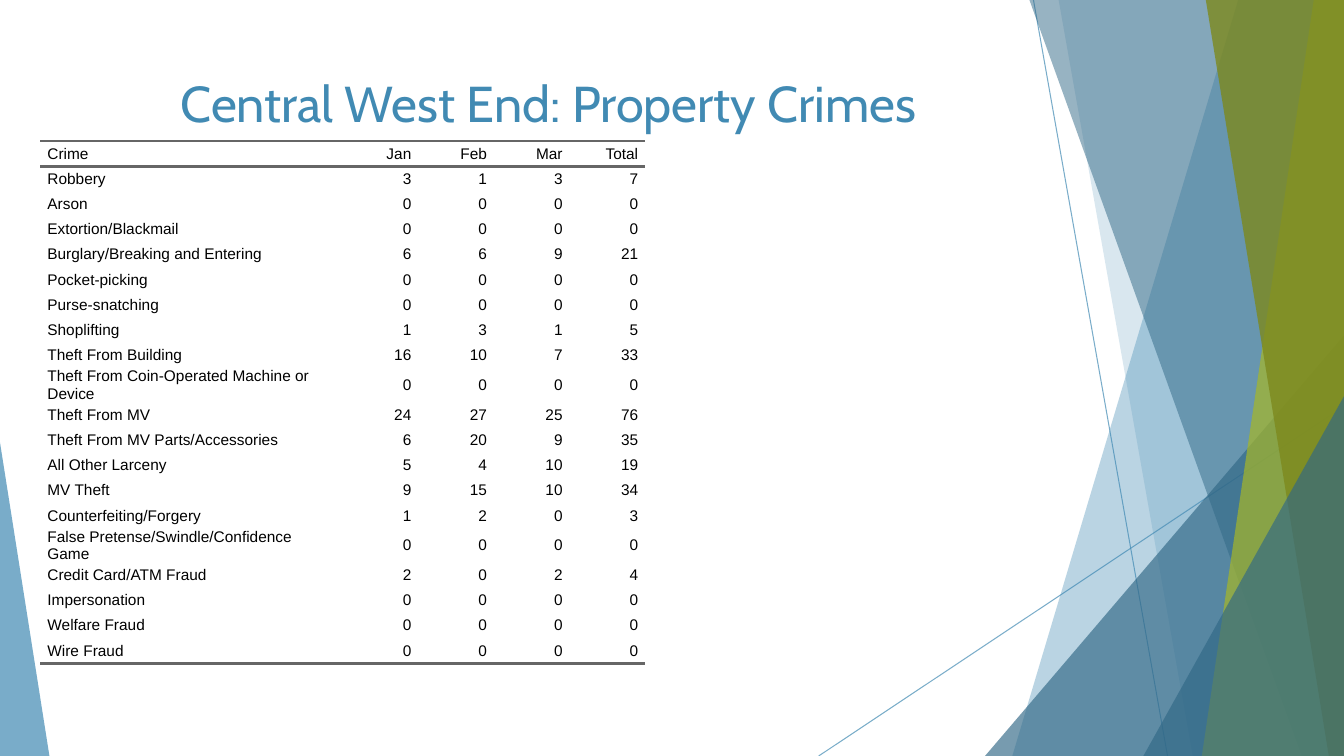
from dataclasses import dataclass

from lxml.etree import SubElement
from pptx import Presentation
from pptx.dml.color import RGBColor as Rgb
from pptx.enum.shapes import MSO_CONNECTOR as Connector, MSO_SHAPE as Shape
from pptx.enum.text import MSO_ANCHOR as Anchor, PP_ALIGN as Align
from pptx.oxml.ns import qn
from pptx.util import Inches, Pt

# Grid of tenth-inch columns and rows
COLUMNS, ROWS = 133.3, 75
NO_TABLE_STYLE = "{2D5ABB26-0587-4C30-8999-92F81FD0307C}"


@dataclass(frozen=True)
class Theme:
    blue: str = "418AB3"
    deep_blue: str = "316886"
    lime: str = "A6B727"
    olive: str = "7D891D"
    rule: str = "666666"
    text: str = "000000"
    title_font: str = "Cabin"
    table_font: str = "Arial"
    title_size: int = 36
    table_size: int = 11
    paragraph_gap: int = 5
    hairline: float = 0.75
    rule_width: int = 2


def grid(units):
    return Inches(units / 10)


class SlideBuilder:
    def __init__(self, slide, theme):
        self.slide, self.theme = slide, theme
        self.shapes = slide.shapes

    def paint(self, fill, color, opacity):
        """Apply a solid colour with the given opacity in percent."""
        fill.solid()
        fill.fore_color.rgb = Rgb.from_string(color)
        for element in fill._xPr.iter(qn("a:srgbClr")):
            SubElement(element, qn("a:alpha"), val=str(opacity * 1000))

    def finish(self, shape, color, opacity):
        shape.shadow.inherit = False
        self.paint(shape.fill, color, opacity)
        shape.line.fill.background()

    def line(self, start, end, color, opacity):
        connector = self.shapes.add_connector(
            Connector.STRAIGHT, *(grid(value) for value in (*start, *end)))
        connector.line.width = Pt(self.theme.hairline)
        self.paint(connector.line.fill, color, opacity)
        SubElement(connector._element.spPr, qn("a:effectLst"))

    def facet(self, top, bottom, color, opacity):
        """Full-height panel from a slanted left edge to the slide's right edge."""
        builder = self.shapes.build_freeform(grid(top), 0)
        corners = [(COLUMNS, 0), (COLUMNS, ROWS), (bottom, ROWS)]
        builder.add_line_segments([(grid(x), grid(y)) for x, y in corners])
        self.finish(builder.convert_to_shape(), color, opacity)

    def corner(self, left, top, width, peak, color, opacity):
        """Triangle standing on the slide's bottom edge."""
        shape = self.shapes.add_shape(
            Shape.ISOSCELES_TRIANGLE, grid(left), grid(top), grid(width), grid(ROWS - top))
        shape.adjustments[0] = peak
        self.finish(shape, color, opacity)

    def set_text(self, text_frame, text, align, font, size, color):
        text_frame.text = text
        paragraph = text_frame.paragraphs[0]
        paragraph.alignment = align
        run_font = paragraph.runs[0].font
        run_font.name, run_font.size = font, Pt(size)
        run_font.color.rgb = Rgb.from_string(color)
        return paragraph

    def title(self, text, left, top, width, height):
        box = self.shapes.add_textbox(grid(left), grid(top), grid(width), grid(height))
        box.text_frame.word_wrap = True
        self.set_text(box.text_frame, text, Align.CENTER, self.theme.title_font,
                      self.theme.title_size, self.theme.blue)

    def cell(self, cell, text, align, edges):
        theme = self.theme
        cell.margin_left = cell.margin_right = cell.margin_top = cell.margin_bottom = 0
        cell.vertical_anchor = Anchor.MIDDLE
        paragraph = self.set_text(cell.text_frame, text, align, theme.table_font,
                                  theme.table_size, theme.text)
        paragraph.space_before = paragraph.space_after = Pt(theme.paragraph_gap)
        properties = paragraph._p.get_or_add_pPr()
        for side in ("marL", "marR"):
            properties.set(side, str(grid(0.7)))
        for edge in edges:
            border = SubElement(cell._tc.get_or_add_tcPr(), qn(f"a:{edge}"),
                                w=str(Pt(theme.rule_width)))
            SubElement(SubElement(border, qn("a:solidFill")), qn("a:srgbClr"), val=theme.rule)
        cell.fill.background()

    def table(self, rows, left, top, widths, row_height):
        table = self.shapes.add_table(
            len(rows), len(widths), grid(left), grid(top),
            grid(sum(widths)), grid(row_height * len(rows))).table
        table.first_row = table.horz_banding = False
        table._tbl.tblPr.find(qn("a:tableStyleId")).text = NO_TABLE_STYLE
        for column, width in zip(table.columns, widths):
            column.width = grid(width)
        rules = {0: ("lnT", "lnB"), len(rows) - 1: ("lnB",)}
        for row_index, values in enumerate(rows):
            table.rows[row_index].height = grid(row_height)
            for column_index, value in enumerate(values):
                align = Align.RIGHT if column_index else Align.LEFT
                self.cell(table.cell(row_index, column_index), str(value), align,
                          rules.get(row_index, ()))


MONTHS = ("Jan", "Feb", "Mar")
CRIMES = [
    ("Robbery", 3, 1, 3),
    ("Arson", 0, 0, 0),
    ("Extortion/Blackmail", 0, 0, 0),
    ("Burglary/Breaking and Entering", 6, 6, 9),
    ("Pocket-picking", 0, 0, 0),
    ("Purse-snatching", 0, 0, 0),
    ("Shoplifting", 1, 3, 1),
    ("Theft From Building", 16, 10, 7),
    ("Theft From Coin-Operated Machine or Device", 0, 0, 0),
    ("Theft From MV", 24, 27, 25),
    ("Theft From MV Parts/Accessories", 6, 20, 9),
    ("All Other Larceny", 5, 4, 10),
    ("MV Theft", 9, 15, 10),
    ("Counterfeiting/Forgery", 1, 2, 0),
    ("False Pretense/Swindle/Confidence Game", 0, 0, 0),
    ("Credit Card/ATM Fraud", 2, 0, 2),
    ("Impersonation", 0, 0, 0),
    ("Welfare Fraud", 0, 0, 0),
    ("Wire Fraud", 0, 0, 0),
]


def main():
    presentation = Presentation()
    presentation.slide_width, presentation.slide_height = grid(COLUMNS), grid(ROWS)
    theme = Theme()
    builder = SlideBuilder(
        presentation.slides.add_slide(presentation.slide_layouts[6]), theme)

    # Faceted backdrop, from back to front
    builder.line((102.5, 0), (115.8, ROWS), theme.blue, 70)
    builder.line((COLUMNS, 40.3), (81.2, ROWS), theme.blue, 70)
    builder.facet(122.8, 100.4, theme.blue, 36)
    builder.facet(105, 118.3, theme.blue, 20)
    builder.corner(97.7, 33.3, 35.6, 1, theme.deep_blue, 66)
    builder.facet(102.1, 129.1, theme.deep_blue, 50)
    builder.facet(130.3, 119.2, theme.lime, 70)
    builder.facet(119.6, 131.8, theme.olive, 80)
    builder.corner(113.4, 39.3, 19.9, 1, theme.deep_blue, 66)
    builder.corner(0, 43.9, 4.9, 0, theme.blue, 70)

    # Crime counts by month, with totals
    header = ("Crime", *MONTHS, "Total")
    body = [(crime, *counts, sum(counts)) for crime, *counts in CRIMES]
    builder.table([header, *body], 4, 14, [30] + [7.5] * 4, 2.5)

    # Title
    builder.title("Central West End: Property Crimes", 7.4, 6.7, 94, 14.4)

    presentation.save("out.pptx")


if __name__ == "__main__":
    main()
